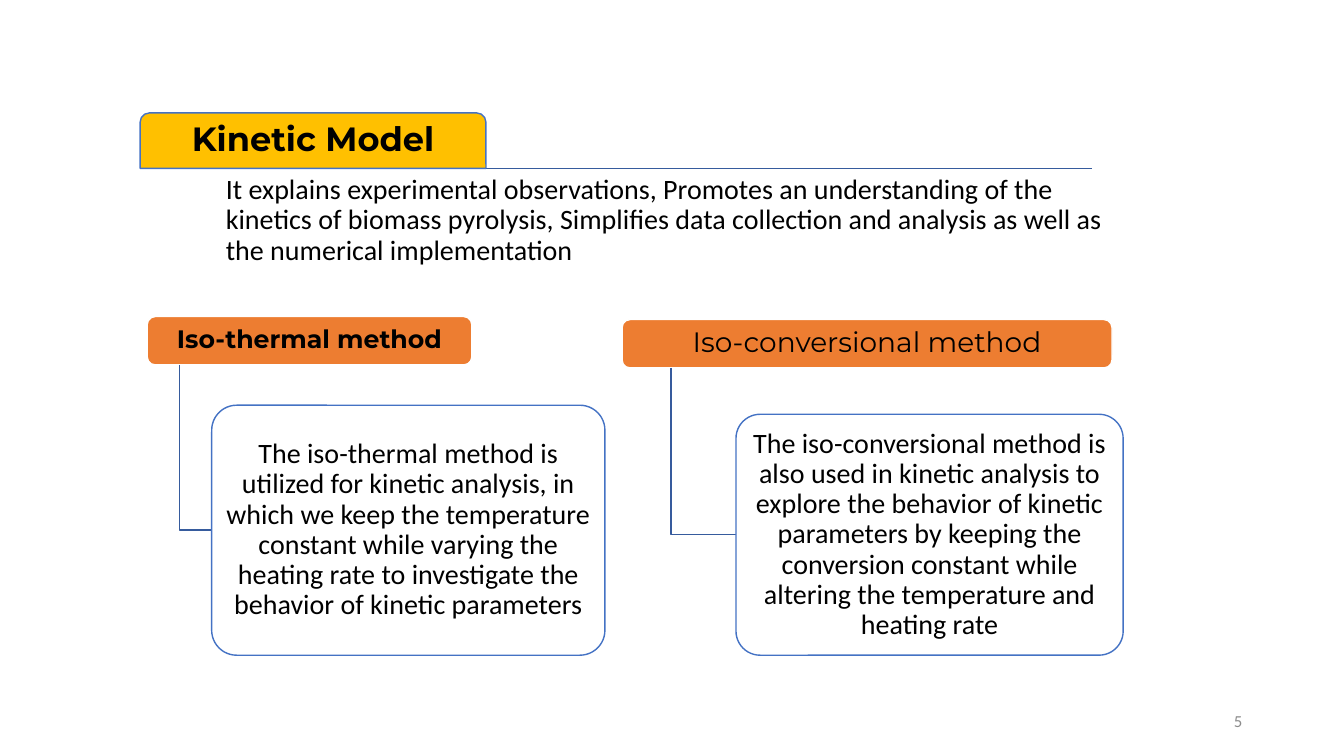
from lxml import etree
from pptx import Presentation
from pptx import util as u
from pptx.dml.color import RGBColor
from pptx.enum import shapes, text
from pptx.oxml.ns import qn

Inches, Pt = u.Inches, u.Pt
CENTER, MIDDLE = text.PP_ALIGN.CENTER, text.MSO_ANCHOR.MIDDLE
ORANGE, YELLOW, WHITE, BLUE, DARK_BLUE = "ED7D31", "FFC000", "FFFFFF", "4472C4", "365B9D"

METHODS = [
    # header box, header size, header bold, detail box, header text, detail text
    ((1.46, 3.14, 3.22, 0.48), 18, True, (2.1, 4.02, 3.9, 2.48),
     "Iso-thermal method",
     "The iso-thermal method is utilized for kinetic analysis, in which we keep the "
     "temperature constant while varying the heating rate to investigate the behavior "
     "of kinetic parameters"),
    ((6.17, 3.17, 4.86, 0.48), 20, False, (7.3, 4.11, 3.84, 2.39),
     "Iso-conversional method",
     "The iso-conversional method is also used in kinetic analysis to explore the "
     "behavior of kinetic parameters by keeping the conversion constant while altering "
     "the temperature and heating rate"),
]


def rgb(value):
    return RGBColor.from_string(value)


def write(sp, words, size, font="Calibri", bold=False, color="000000",
          align=CENTER, anchor=MIDDLE, inset=0.04, spacing=0.9):
    tf = sp.text_frame
    tf.word_wrap = True
    tf.auto_size = text.MSO_AUTO_SIZE.NONE
    tf.vertical_anchor = anchor
    tf.margin_left = tf.margin_right = tf.margin_top = tf.margin_bottom = Inches(inset)
    p = tf.paragraphs[0]
    p.text = words
    p.alignment = align
    p.line_spacing = spacing
    p.font.name, p.font.size, p.font.bold = font, Pt(size), bold
    p.font.color.rgb = rgb(color)


def add_box(slide, kind, box, fill, line, *adjustments):
    sp = slide.shapes.add_shape(kind, *map(Inches, box))
    sp.shadow.inherit = False
    sp.fill.solid()
    sp.fill.fore_color.rgb = rgb(fill)
    sp.line.color.rgb = rgb(line)
    sp.line.width = Pt(1)
    for i, value in enumerate(adjustments):
        sp.adjustments[i] = value
    return sp


def add_text(slide, box, words, size, **style):
    write(slide.shapes.add_textbox(*map(Inches, box)), words, size, **style)


def add_rule(slide, x1, x2, y):
    line = slide.shapes.add_connector(
        shapes.MSO_CONNECTOR.STRAIGHT, Inches(x1), Inches(y), Inches(x2), Inches(y))
    line.line.color.rgb = rgb(DARK_BLUE)
    line.line.width = Pt(1)
    etree.SubElement(line._element.spPr, qn("a:effectLst"))


def add_elbow(slide, header, detail):
    """Join a header to its detail box, from a tenth of the header's width."""
    x, y = header[0] + header[2] / 10, header[1] + header[3]
    end_x, end_y = detail[0], detail[1] + detail[3] / 2
    builder = slide.shapes.build_freeform(Inches(x), Inches(y))
    builder.add_line_segments(
        [(Inches(x), Inches(end_y)), (Inches(end_x), Inches(end_y))], close=False)
    sp = builder.convert_to_shape()
    sp.shadow.inherit = False
    sp.fill.background()
    sp.line.color.rgb = rgb(DARK_BLUE)
    sp.line.width = Pt(1)


def add_method(slide, header, size, bold, detail, name, description):
    rounded = shapes.MSO_SHAPE.ROUNDED_RECTANGLE
    sp = add_box(slide, rounded, header, ORANGE, WHITE)
    write(sp, name, size, font="Montserrat", bold=bold)
    add_elbow(slide, header, detail)
    sp = add_box(slide, rounded, detail, WHITE, BLUE, 0.1)
    write(sp, description, 20)


def add_title(slide, box, words):
    """Set the title on a yellow tab."""
    add_box(slide, shapes.MSO_SHAPE.ROUND_2_SAME_RECTANGLE, box, YELLOW, BLUE, 0.167, 0)
    title = slide.shapes.title
    title.left, title.top, title.width, title.height = map(Inches, box)
    write(title, words, 24, font="Montserrat", bold=True, inset=0.05)
    slide.shapes._spTree.append(title._element)  # bring in front of the tab


def main():
    prs = Presentation()
    prs.slide_width, prs.slide_height = Inches(13.33), Inches(7.5)
    slide = prs.slides.add_slide(prs.slide_layouts[5])

    for method in METHODS:
        add_method(slide, *method)
    add_rule(slide, 1.9, 10.83, 1.67)
    add_text(slide, (2.2, 1.67, 8.93, 1.01),
             "It explains experimental observations, Promotes an understanding of the "
             "kinetics of biomass pyrolysis, Simplifies data collection and analysis as "
             "well as the numerical implementation",
             20, align=text.PP_ALIGN.LEFT, anchor=text.MSO_ANCHOR.BOTTOM)
    add_title(slide, (1.39, 1.12, 3.43, 0.55), "Kinetic Model")
    add_text(slide, (9.42, 6.95, 3, 0.4), "5", 12, color="8C8C8C",
             align=text.PP_ALIGN.RIGHT, inset=0.1, spacing=1.0)
    prs.save("out.pptx")


if __name__ == "__main__":
    main()
